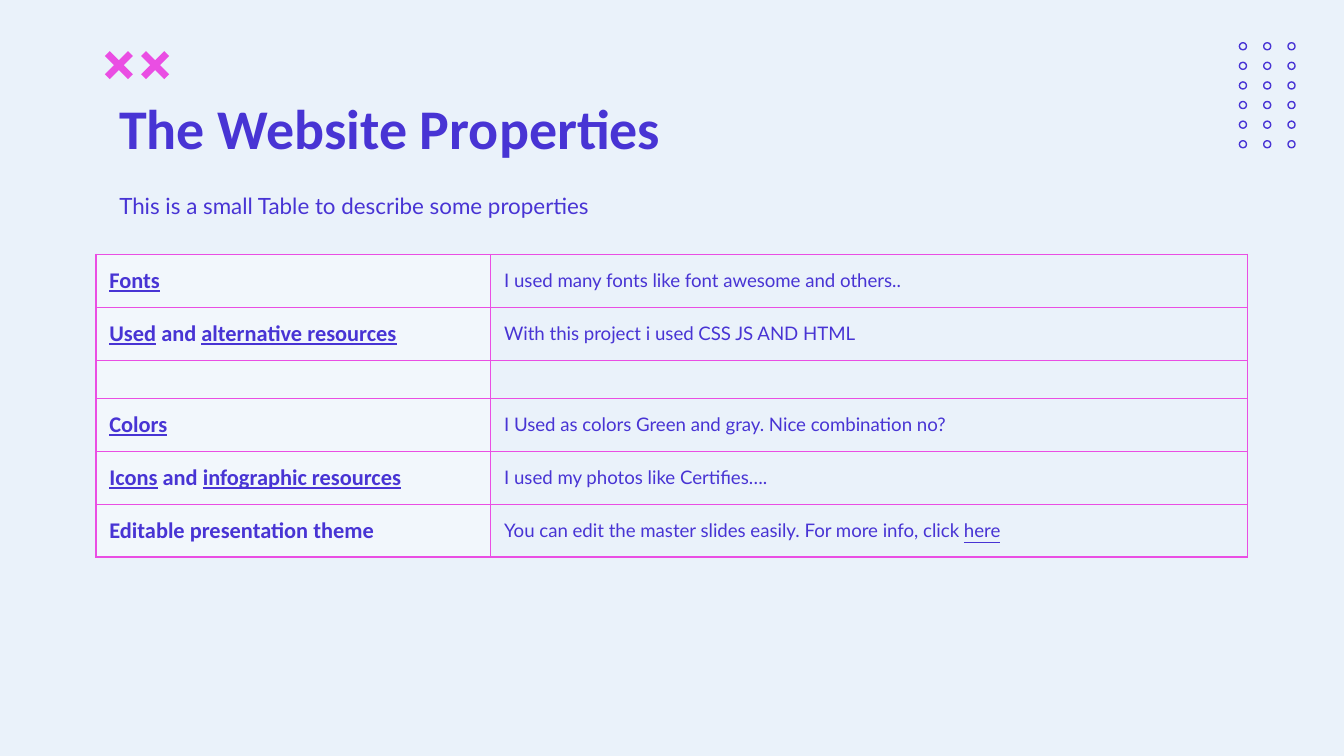
import pptx
import pptx.dml.color
import pptx.enum.shapes
import pptx.enum.text
import pptx.oxml
import pptx.oxml.ns
import pptx.util
from lxml import etree

Pt = pptx.util.Pt
qn = pptx.oxml.ns.qn

COLORS = {"background": "EAF2FA", "ink": "4834D4", "accent": "EA4EE3", "label": "FFFFFF"}
HEADING = "The Website Properties"
INTRO = "This is a small Table to describe some properties"
PLAIN, LINED = False, True
PROPERTIES = [
    ([("Fonts", LINED)], [("I used many fonts like font awesome and others..", PLAIN)]),
    ([("Used", LINED), (" and ", PLAIN), ("alternative resources", LINED)],
     [("With this project i used CSS JS AND HTML", PLAIN)]),
    ([], []),
    ([("Colors", LINED)], [("I Used as colors Green and gray. Nice combination no?", PLAIN)]),
    ([("Icons", LINED), (" and ", PLAIN), ("infographic resources", LINED)],
     [("I used my photos like Certifies….", PLAIN)]),
    ([("Editable presentation theme", PLAIN)],
     [("You can edit the master slides easily. For more info, click ", PLAIN), ("here", LINED)]),
]
COLUMN_WIDTHS = (211.5, 405.4)
ROW_HEIGHT, GAP_HEIGHT = 28.4, 20.4
CROSS = [(2.6, 0), (7.5, 4.9), (12.4, 0), (15, 2.6), (10.1, 7.5), (15, 12.4),
         (12.4, 15), (7.5, 10.1), (2.6, 15), (0, 12.4), (4.9, 7.5), (0, 2.6)]


def rgb(name):
    return pptx.dml.color.RGBColor.from_string(COLORS[name])


def add_run(paragraph, text, font, size, bold=False, underline=False):
    run = paragraph.add_run()
    run.text = text
    run.font.name = font
    run.font.size = Pt(size)
    run.font.bold = bold
    run.font.underline = underline
    run.font.color.rgb = rgb("ink")


def fill_placeholder(placeholder, box, text, font, size, bold):
    placeholder.left, placeholder.top, placeholder.width, placeholder.height = map(Pt, box)
    frame = placeholder.text_frame
    frame.word_wrap = True
    frame.auto_size = pptx.enum.text.MSO_AUTO_SIZE.NONE
    frame.vertical_anchor = pptx.enum.text.MSO_ANCHOR.TOP
    frame.margin_left = frame.margin_right = frame.margin_top = frame.margin_bottom = Pt(7.2)
    paragraph = frame.paragraphs[0]
    properties = paragraph._p.get_or_add_pPr()
    properties.set("marL", "0")
    properties.set("indent", "0")
    etree.SubElement(properties, qn("a:buNone"))
    paragraph.alignment = pptx.enum.text.PP_ALIGN.LEFT
    paragraph.space_before = Pt(0)
    add_run(paragraph, text, font, size, bold)


def add_borders(cell):
    properties = cell._tc.get_or_add_tcPr()
    for position, side in enumerate(("lnL", "lnR", "lnT", "lnB")):
        border = pptx.oxml.parse_xml(
            f'<a:{side} {pptx.oxml.ns.nsdecls("a")} w="{Pt(0.75)}"><a:solidFill>'
            f'<a:srgbClr val="{COLORS["accent"]}"/></a:solidFill></a:{side}>')
        properties.insert(position, border)


def fill_cell(cell, runs, is_label):
    cell.margin_left = cell.margin_right = Pt(7.2)
    cell.margin_top = cell.margin_bottom = Pt(0)
    cell.vertical_anchor = pptx.enum.text.MSO_ANCHOR.MIDDLE
    if is_label:
        cell.fill.solid()
        cell.fill.fore_color.rgb = rgb("label")
        tint = cell._tc.tcPr.find(".//" + qn("a:srgbClr"))
        etree.SubElement(tint, qn("a:alpha")).set("val", "41000")
    else:
        cell.fill.background()
    add_borders(cell)
    font, size = ("Calibri", 12) if is_label else ("Lato", 10)
    paragraph = cell.text_frame.paragraphs[0]
    paragraph.font.size = Pt(size)
    for text, underline in runs:
        add_run(paragraph, text, font, size, is_label, underline)


def add_dots(slide):
    for row in range(6):
        for column in range(3):
            dot = slide.shapes.add_shape(
                pptx.enum.shapes.MSO_SHAPE.OVAL, Pt(664 + 13 * column), Pt(22.9 + 10.5 * row),
                Pt(3.8), Pt(3.8))
            dot.shadow.inherit = False
            dot.fill.background()
            dot.line.color.rgb = rgb("ink")
            dot.line.width = Pt(0.75)


def add_crosses(slide):
    for left in (56.2, 75.6):
        points = [(Pt(left + x), Pt(27.4 + y)) for x, y in CROSS]
        builder = slide.shapes.build_freeform(*points[0], scale=1.0)
        builder.add_line_segments(points[1:], close=True)
        cross = builder.convert_to_shape()
        cross.shadow.inherit = False
        cross.fill.solid()
        cross.fill.fore_color.rgb = rgb("accent")
        cross.line.fill.background()


def add_properties(slide):
    heights = [ROW_HEIGHT if label else GAP_HEIGHT for label, _ in PROPERTIES]
    table = slide.shapes.add_table(
        len(PROPERTIES), len(COLUMN_WIDTHS), Pt(51.4), Pt(136.2),
        Pt(sum(COLUMN_WIDTHS)), Pt(sum(heights))).table
    table.first_row = table.horz_banding = False
    for column, width in zip(table.columns, COLUMN_WIDTHS):
        column.width = Pt(width)
    for row, height, contents in zip(table.rows, heights, PROPERTIES):
        row.height = Pt(height)
        for index, runs in enumerate(contents):
            fill_cell(row.cells[index], runs, index == 0)


def main():
    deck = pptx.Presentation()
    deck.slide_width, deck.slide_height = Pt(720), Pt(405)
    slide = deck.slides.add_slide(deck.slide_layouts[1])
    slide.background.fill.solid()
    slide.background.fill.fore_color.rgb = rgb("background")
    add_dots(slide)
    add_crosses(slide)
    fill_placeholder(slide.shapes.title, (56.7, 43, 607, 45), HEADING, "Calibri", 30, True)
    fill_placeholder(slide.placeholders[1], (56.7, 95.8, 607, 32.4), INTRO, "Lato", 12, False)
    add_properties(slide)
    deck.save("out.pptx")


if __name__ == "__main__":
    main()
